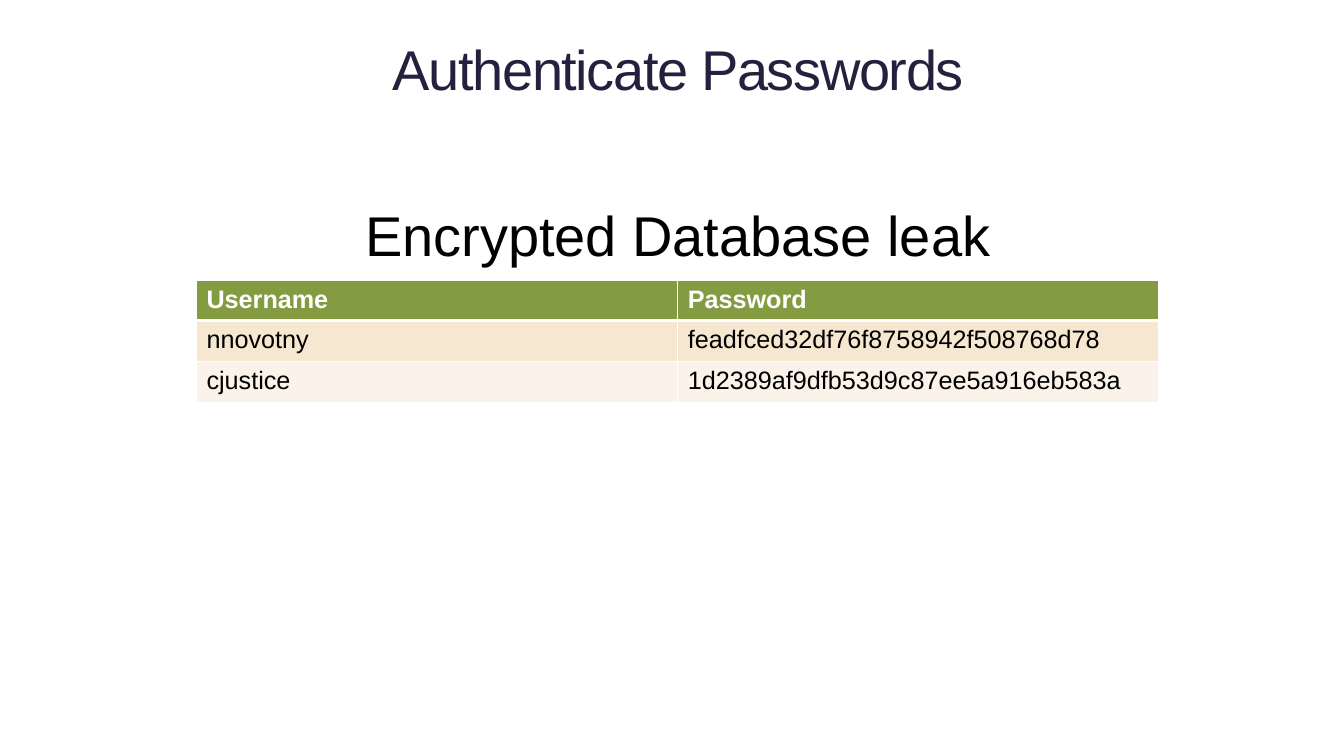
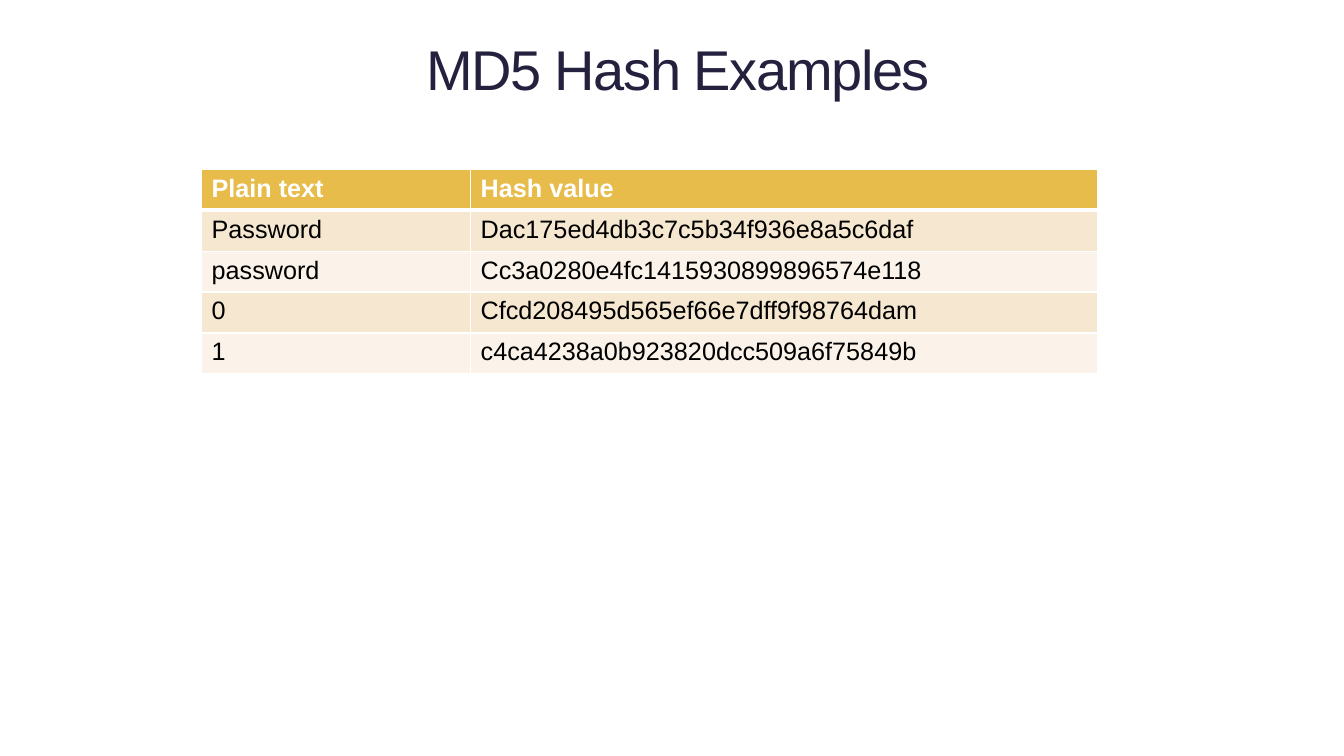
from pptx import Presentation
from pptx.dml.color import RGBColor
from pptx.enum.text import MSO_ANCHOR, PP_ALIGN
from pptx.oxml.ns import qn
from pptx.util import Cm, Pt
from lxml import etree

CENTER = PP_ALIGN.CENTER
TOP, MIDDLE = MSO_ANCHOR.TOP, MSO_ANCHOR.MIDDLE

NAVY = RGBColor(0x24, 0x21, 0x3E)
BLACK = RGBColor(0x00, 0x00, 0x00)
WHITE = RGBColor(0xFF, 0xFF, 0xFF)
GREEN = RGBColor(0x83, 0x9C, 0x41)
GOLD = RGBColor(0xE8, 0xBC, 0x4A)
SAND = RGBColor(0xF6, 0xE7, 0xD0)
CREAM = RGBColor(0xFB, 0xF3, 0xE9)


class SlideWriter:
    """Holds the shared style and the slide being written."""

    font = "Arial"
    heading_size = Pt(40)
    table_size = Pt(18)
    row_height = Cm(1.03)

    def __init__(self, deck):
        self.deck = deck
        self.slide = None

    def new_slide(self, title):
        self.slide = self.deck.slides.add_slide(self.deck.slide_layouts[6])
        span = self.heading(title, Cm(6.53), Cm(0.23), Cm(21.13), Cm(2.74),
                            NAVY, MIDDLE, Cm(0.38))
        span.font._element.set("spc", "-100")

    def heading(self, text, left, top, width, height, color, anchor, inset):
        box = self.slide.shapes.add_textbox(left, top, width, height)
        frame = box.text_frame
        frame.word_wrap = True
        frame.vertical_anchor = anchor
        frame.margin_top = inset
        frame.text = text
        para = frame.paragraphs[0]
        para.alignment = CENTER
        span = para.runs[0]
        self.style(span, self.heading_size, color)
        return span

    def style(self, span, size, color, bold=False):
        span.font.name = self.font
        span.font.size = size
        span.font.color.rgb = color
        span.font.bold = bold

    def table(self, rows, left, top, widths, header_height, header_color):
        heights = [header_height] + [self.row_height] * (len(rows) - 1)
        frame = self.slide.shapes.add_table(
            len(rows), len(widths), left, top, sum(widths), sum(heights))
        table = frame.table
        for column, width in zip(table.columns, widths):
            column.width = width
        for r, (texts, height) in enumerate(zip(rows, heights)):
            table.rows[r].height = height
            is_header = r == 0
            band = SAND if r % 2 else CREAM
            for c, text in enumerate(texts):
                cell = table.cell(r, c)
                cell.text_frame.text = text
                self.style(cell.text_frame.paragraphs[0].runs[0],
                           self.table_size, WHITE if is_header else BLACK,
                           bold=is_header)
                self.borders(cell, top=3 if r == 1 else 1,
                             bottom=3 if is_header else 1)
                cell.fill.solid()
                cell.fill.fore_color.rgb = header_color if is_header else band

    def borders(self, cell, top, bottom):
        properties = cell._tc.get_or_add_tcPr()
        sides = {"a:lnL": 1, "a:lnR": 1, "a:lnT": top, "a:lnB": bottom}
        for tag, points in sides.items():
            line = etree.SubElement(properties, qn(tag), w=str(Pt(points)))
            fill = etree.SubElement(line, qn("a:solidFill"))
            etree.SubElement(fill, qn("a:srgbClr"), val=str(WHITE))


def main():
    deck = Presentation()
    deck.slide_width = Cm(33.87)
    deck.slide_height = Cm(19.05)
    writer = SlideWriter(deck)

    # Leaked accounts
    writer.new_slide("Authenticate Passwords")
    writer.table(
        [("Username", "Password"),
         ("nnovotny", "feadfced32df76f8758942f508768d78"),
         ("cjustice", "1d2389af9dfb53d9c87ee5a916eb583a")],
        Cm(4.95), Cm(7.06), [Cm(12.13)] * 2, Cm(0.98), GREEN)
    writer.heading("Encrypted Database leak", Cm(4.11), Cm(4.8), Cm(25.93),
                   Cm(1.96), BLACK, TOP, Cm(0.25))

    # Hash samples
    writer.new_slide("MD5 Hash Examples")
    writer.table(
        [("Plain text", "Hash value"),
         ("Password", "Dac175ed4db3c7c5b34f936e8a5c6daf"),
         ("password", "Cc3a0280e4fc1415930899896574e118"),
         ("0", "Cfcd208495d565ef66e7dff9f98764dam"),
         ("1", "c4ca4238a0b923820dcc509a6f75849b")],
        Cm(5.08), Cm(4.27), [Cm(6.78), Cm(15.8)], writer.row_height, GOLD)

    deck.save("out.pptx")


if __name__ == "__main__":
    main()
